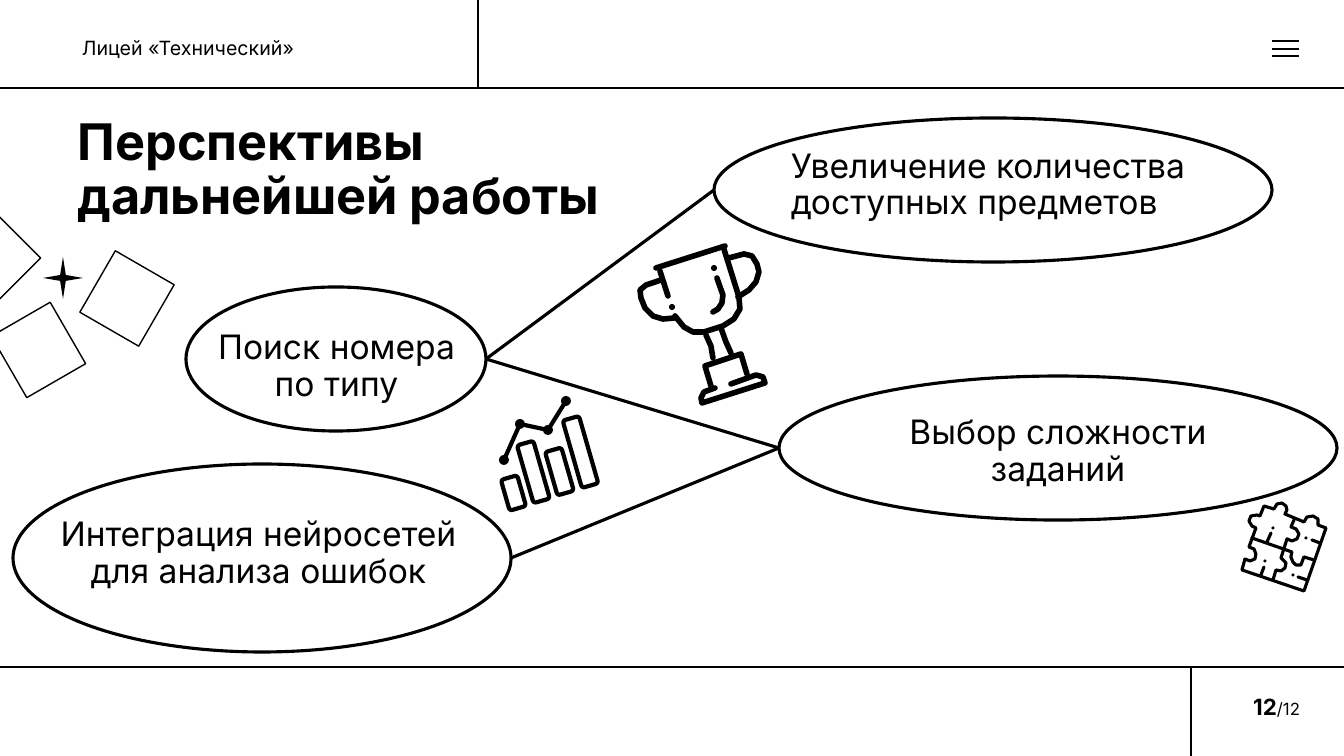
"""Build the closing slide on prospects for further work."""
from pptx import Presentation
from pptx.dml.color import RGBColor
from pptx.enum.shapes import MSO_CONNECTOR, MSO_SHAPE
from pptx.enum.text import MSO_ANCHOR, PP_ALIGN
from pptx.oxml.ns import qn
from pptx.util import Pt
from lxml import etree

BLACK = RGBColor(0, 0, 0)
WHITE = RGBColor(255, 255, 255)
FONT = "Inter"
LEFT, CENTER, RIGHT = PP_ALIGN.LEFT, PP_ALIGN.CENTER, PP_ALIGN.RIGHT
TOP, MIDDLE = MSO_ANCHOR.TOP, MSO_ANCHOR.MIDDLE
OVAL, RECTANGLE = MSO_SHAPE.OVAL, MSO_SHAPE.RECTANGLE
STAR, ROUNDED = MSO_SHAPE.STAR_4_POINT, MSO_SHAPE.ROUNDED_RECTANGLE
STRAIGHT = MSO_CONNECTOR.STRAIGHT

WIDTH, HEIGHT = 1344, 756
EMU_PER_PX = 12192000 / WIDTH
HEADER_Y, FOOTER_Y = 88, 667
THIN, THICK = 1, 2.25

FRAME_LINES = [
    (0, HEADER_Y, WIDTH, HEADER_Y), (0, FOOTER_Y, WIDTH, FOOTER_Y),
    (478, 0, 478, HEADER_Y), (1191, FOOTER_Y, 1191, HEIGHT),
] + [(1272, y, 1299, y) for y in (41, 49, 56)]

IDEAS = {
    "subjects": ((714, 118, 558, 144), (781, 144, 422, 131), LEFT,
                 "Увеличение количества доступных предметов"),
    "difficulty": ((779, 376, 558, 144), (847, 411, 422, 95), CENTER,
                   "Выбор сложности заданий"),
    "search": ((186, 287, 300, 144), (196, 326, 281, 40), CENTER,
               "Поиск номера по типу"),
    "analysis": ((13, 464, 498, 188), (32, 513, 453, 40), CENTER,
                 "Интеграция нейросетей для анализа ошибок"),
}
LINKS = [("search", "subjects"), ("search", "difficulty"),
         ("analysis", "difficulty")]

SQUARES = [((3, 316, 71, 68), 60), ((93, 263, 68, 71), 30),
           ((-44, 223, 71, 68), 45)]
SPARK = (43, 257, 40, 42)

BARS = [(505, 477, 17, 32), (525, 442, 17, 60),
        (551, 449, 17, 45), (572, 417, 17, 70)]
TREND = [(504, 460), (520, 424), (548, 430), (566, 401)]

TROPHY = [
    [(656, 268), (725, 246)],
    [(660, 271), (668, 296)],
    [(724, 249), (739, 297), (740, 309), (734, 319), (723, 326), (704, 332),
     (693, 332), (684, 327), (675, 316)],
    [(661, 280), (646, 285), (640, 290), (641, 298), (645, 308), (653, 316),
     (663, 319), (674, 318)],
    [(729, 258), (744, 254), (752, 256), (757, 264), (759, 272), (756, 282),
     (749, 290), (738, 297)],
    [(706, 335), (711, 346), (713, 358)],
    [(721, 328), (726, 342), (731, 353)],
    [(711, 386), (705, 366), (741, 354), (747, 374)],
    [(715, 388), (704, 392), (701, 398), (702, 403), (765, 383), (763, 377),
     (756, 375), (731, 384)],
    [(717, 278), (723, 295), (722, 303), (718, 309), (713, 312)],
]
PUZZLE = [
    [(1242, 570), (1304, 591), (1326, 528), (1318, 525), (1318, 519),
     (1313, 516), (1307, 517), (1304, 522), (1285, 514), (1287, 510),
     (1286, 506), (1282, 503), (1277, 504), (1274, 509), (1264, 506),
     (1260, 516), (1257, 515), (1251, 516), (1249, 521), (1252, 526),
     (1256, 528), (1249, 547), (1254, 549), (1256, 554), (1255, 559),
     (1250, 561), (1245, 559), (1242, 570)],
    [(1252, 538), (1292, 552), (1291, 557), (1293, 562), (1296, 565),
     (1301, 565), (1304, 557), (1314, 560)],
    [(1294, 520), (1291, 527), (1296, 529), (1299, 534), (1297, 539),
     (1292, 541), (1287, 539), (1281, 558), (1286, 563), (1285, 568),
     (1281, 571), (1276, 570), (1273, 580)],
    [(1271, 533), (1267, 542)], [(1264, 567), (1261, 575)],
    [(1298, 577), (1307, 580)], [(1312, 540), (1320, 543)],
]
STROKE_ICONS = [(TROPHY, 4), (PUZZLE, THICK), ([TREND], 3)]
DOTS = [
    (TREND, 10),
    ([(672, 307), (714, 268)], 6),
    ([(1265, 561), (1293, 575), (1306, 538), (1273, 528)], 3),
]


def px(*lengths):
    """Turn pixel lengths into EMU."""
    return [round(length * EMU_PER_PX) for length in lengths]


def style(shape, fill=None, weight=None):
    """Give a shape a plain fill and outline without a shadow."""
    shape.shadow.inherit = False
    if fill is None:
        shape.fill.background()
    else:
        shape.fill.solid()
        shape.fill.fore_color.rgb = fill
    if weight is None:
        shape.line.fill.background()
    else:
        shape.line.color.rgb = BLACK
        shape.line.width = Pt(weight)


def add_shape(slide, kind, box, rotation=0, fill=None, weight=None):
    """Add a preset shape."""
    shape = slide.shapes.add_shape(kind, *px(*box))
    shape.rotation = rotation
    style(shape, fill, weight)
    return shape


def add_line(slide, ends, weight):
    """Add a straight black line."""
    line = slide.shapes.add_connector(STRAIGHT, *px(*ends))
    line.line.color.rgb = BLACK
    line.line.width = Pt(weight)
    etree.SubElement(line._element.spPr, qn("a:effectLst"))


def add_stroke(slide, points, weight):
    """Add an open outline with round ends and joins."""
    builder = slide.shapes.build_freeform(*points[0], scale=EMU_PER_PX)
    builder.add_line_segments(points[1:], close=False)
    shape = builder.convert_to_shape()
    style(shape, weight=weight)
    outline = shape._element.spPr.find(qn("a:ln"))
    outline.set("cap", "rnd")
    etree.SubElement(outline, qn("a:round"))


def add_text(slide, box, runs, align=LEFT, anchor=TOP, spacing=1, wrap=True):
    """Add one paragraph made of (text, size, bold) runs."""
    frame = slide.shapes.add_textbox(*px(*box)).text_frame
    frame.word_wrap = wrap
    frame.vertical_anchor = anchor
    paragraph = frame.paragraphs[0]
    paragraph.alignment = align
    paragraph.line_spacing = spacing
    for text, size, bold in runs:
        run = paragraph.add_run()
        run.text = text
        run.font.color.rgb = BLACK
        formats = {"name": FONT, "size": Pt(size), "bold": bold}
        for name, value in formats.items():
            setattr(run.font, name, value)


def main():
    """Draw the slide and save it."""
    presentation = Presentation()
    presentation.slide_width, presentation.slide_height = px(WIDTH, HEIGHT)
    slide = presentation.slides.add_slide(presentation.slide_layouts[6])
    slide.background.fill.solid()
    slide.background.fill.fore_color.rgb = WHITE

    for ends in FRAME_LINES:
        add_line(slide, ends, THIN)
    add_text(slide, (1008, 687, 302, 40), [("12", 16, True), ("/12", 12, False)],
             RIGHT, MIDDLE)
    add_text(slide, (72, 31, 236, 34), [("Лицей «Технический»", 14, False)],
             wrap=False)
    add_text(slide, (68, 112, 564, 113),
             [("Перспективы дальнейшей работы", 36, True)], spacing=0.9)

    for box, rotation in SQUARES:
        add_shape(slide, RECTANGLE, box, rotation, weight=THIN)
    add_shape(slide, STAR, SPARK, fill=BLACK).adjustments[0] = 0.1

    for ellipse, text_box, align, text in IDEAS.values():
        add_shape(slide, OVAL, ellipse, weight=THICK)
        add_text(slide, text_box, [(text, 24, False)], align, spacing=0.9)
    for start, end in LINKS:
        left, top, width, height = IDEAS[start][0]
        end_left, end_top, _, end_height = IDEAS[end][0]
        add_line(slide, (left + width, top + height / 2,
                         end_left, end_top + end_height / 2), THICK)

    for box in BARS:
        add_shape(slide, ROUNDED, box, 344, weight=3)
    for strokes, weight in STROKE_ICONS:
        for points in strokes:
            add_stroke(slide, points, weight)
    for centers, size in DOTS:
        for x, y in centers:
            add_shape(slide, OVAL, (x - size / 2, y - size / 2, size, size),
                      fill=BLACK)
    presentation.save("out.pptx")


if __name__ == "__main__":
    main()
